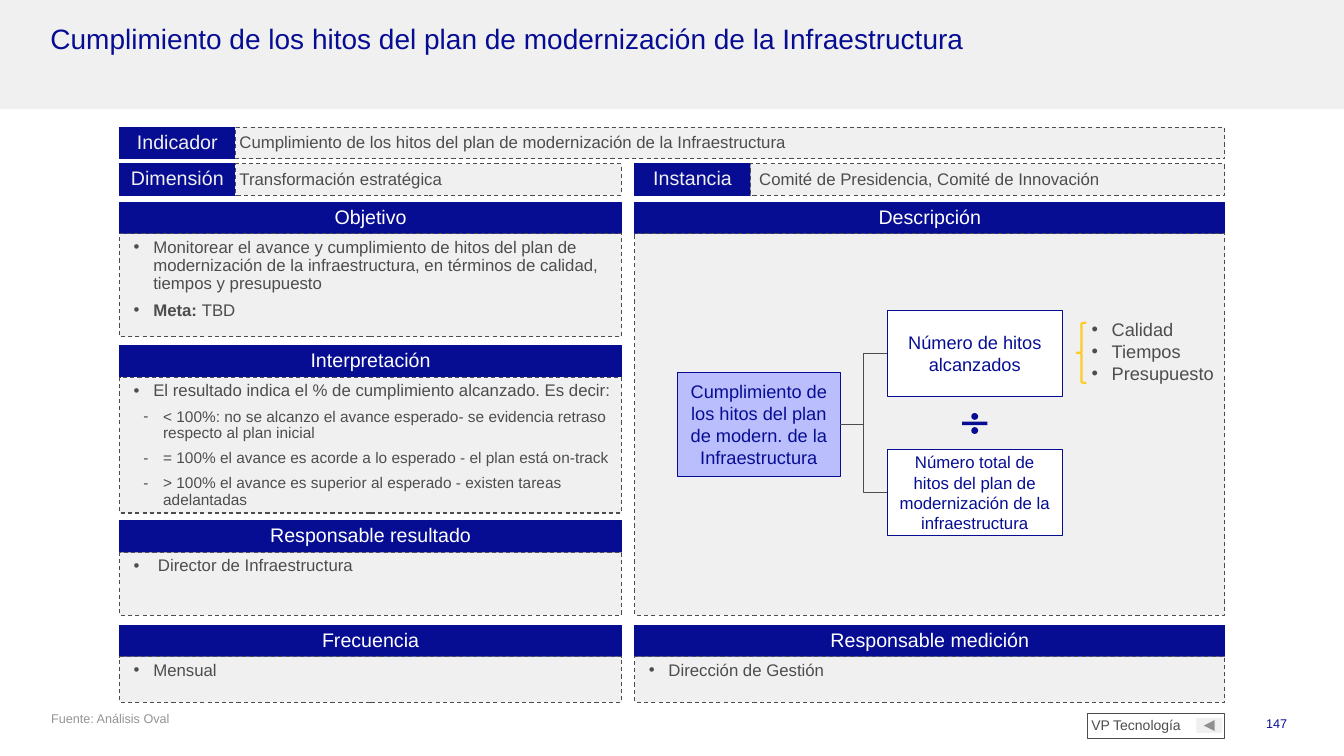
from lxml import etree
from pptx import Presentation
from pptx.dml.color import RGBColor
from pptx.enum.dml import MSO_LINE
from pptx.enum.shapes import MSO_CONNECTOR as Connector, MSO_SHAPE as Shape
from pptx.enum.text import MSO_ANCHOR as Anchor, MSO_AUTO_SIZE as AutoSize, PP_ALIGN as Align
from pptx.oxml.ns import qn
from pptx.util import Pt

NAVY, GREY, PALE, WHITE = "070D93", "4D4D4D", "F0F0F0", "FFFFFF"
LILAC, YELLOW, FOOTER_GREY = "BBBEFC", "FFCB27", "949494"
LEFT, LEFT_WIDTH = 85.5, 358.5
RIGHT, RIGHT_WIDTH = 453.5, 421.5
BAR, LABEL_WIDTH = 22.5, 82.5
INSETS = (3, 3.6, 3, 3.6)
SPACED = {"line_spacing": 0.9, "space_before": Pt(3), "space_after": Pt(3)}
PLAIN = {"line_spacing": 1.0, "space_before": Pt(0), "space_after": Pt(0)}
TITLE = "Cumplimiento de los hitos del plan de modernización de la Infraestructura"


def color(value):
    return RGBColor.from_string(value)


def set_attributes(target, values):
    for name, value in values.items():
        setattr(target, name, value)


def place(shape, box):
    set_attributes(shape, dict(zip(("left", "top", "width", "height"), map(Pt, box))))


def add_bullet(para, char, margin, hang, hue=GREY):
    properties = para._p.get_or_add_pPr()
    properties.set("marL", str(Pt(margin)))
    properties.set("indent", str(-Pt(hang)))
    bullet_color = etree.SubElement(properties, qn("a:buClr"))
    etree.SubElement(bullet_color, qn("a:srgbClr")).set("val", hue)
    etree.SubElement(properties, qn("a:buFont")).set("typeface", "Arial")
    etree.SubElement(properties, qn("a:buChar")).set("char", char)


def write(shape, items, size, hue, align=Align.LEFT, anchor=Anchor.TOP,
          insets=INSETS, spacing=SPACED):
    """Fill a shape with items: a text, or a dict with text, lead (bold), size, bullet."""
    frame = shape.text_frame
    set_attributes(frame, {"word_wrap": True, "auto_size": AutoSize.NONE,
                           "vertical_anchor": anchor})
    sides = ("margin_left", "margin_top", "margin_right", "margin_bottom")
    set_attributes(frame, dict(zip(sides, map(Pt, insets))))
    for index, item in enumerate(items):
        item = {"text": item} if isinstance(item, str) else item
        para = frame.add_paragraph() if index else frame.paragraphs[0]
        if "bullet" in item:
            add_bullet(para, *item["bullet"])
        set_attributes(para, {**spacing, "alignment": align})
        if not index:
            para.space_before = Pt(0)
        for text, bold in ((item.get("lead"), True), (item["text"], False)):
            if text:
                span = para.add_run()
                span.text = text
                set_attributes(span.font, {"name": "Arial", "bold": bold,
                                           "size": Pt(item.get("size", size))})
                span.font.color.rgb = color(hue)


def add_figure(page, kind, box, fill=None, line=None, weight=0.75, dashed=False):
    shape = page.shapes.add_shape(kind, *map(Pt, box))
    shape.shadow.inherit = False
    if fill:
        shape.fill.solid()
        shape.fill.fore_color.rgb = color(fill)
    else:
        shape.fill.background()
    if line:
        shape.line.color.rgb = color(line)
        shape.line.width = Pt(weight)
        if dashed:
            shape.line.dash_style = MSO_LINE.DASH
    else:
        shape.line.fill.background()
    return shape


def add_bar(page, box, text, hue=WHITE):
    bar = add_figure(page, Shape.RECTANGLE, box, NAVY, NAVY)
    write(bar, [text], 14, hue, Align.CENTER, Anchor.MIDDLE)


def add_field(page, box, label, value, value_inset=3):
    """Navy label with a dashed value box to its right."""
    left, top, width, height = box
    add_bar(page, (left, top, LABEL_WIDTH, height), label, PALE)
    value_box = (left + LABEL_WIDTH, top, width - LABEL_WIDTH, height)
    field = add_figure(page, Shape.RECTANGLE, value_box, PALE, GREY, dashed=True)
    write(field, [value], 12, GREY, anchor=Anchor.MIDDLE,
          insets=(value_inset, *INSETS[1:]))


def add_panel(page, box, heading, items=()):
    """Navy heading bar above a dashed box of bulleted items."""
    left, top, width, height = box
    add_bar(page, (left, top, width, BAR), heading)
    body = add_figure(page, Shape.RECTANGLE, (left, top + BAR, width, height - BAR),
                      PALE, GREY, dashed=True)
    write(body, items, 12, GREY)


def bullet(text, lead=None):
    return {"text": text, "lead": lead, "bullet": ("•", 21, 14)}


def dash(text):
    return {"text": text, "size": 11, "bullet": ("-", 28, 14)}


def add_title(page, box):
    left, top, width, height = box
    title = page.shapes.title
    band = add_figure(page, Shape.RECTANGLE, box, PALE)
    title.element.addprevious(band.element)
    place(title, (left + 33, top + 14.5, width - 67, 49.5))
    write(title, [TITLE], 20, NAVY)


def add_node(page, box, text, size, fill=WHITE):
    node = add_figure(page, Shape.RECTANGLE, box, fill, NAVY, 0.5)
    write(node, [text], size, NAVY, Align.CENTER, Anchor.MIDDLE,
          (7.2, 3.6, 7.2, 3.6), PLAIN)
    return node


def add_elbow(page, start, end):
    elbow = page.shapes.add_connector(Connector.ELBOW, 0, 0, 0, 0)
    elbow.begin_connect(start, 3)
    elbow.end_connect(end, 1)
    elbow.line.color.rgb = color(GREY)
    elbow.line.width = Pt(0.5)
    etree.SubElement(elbow.element.spPr, qn("a:effectLst"))


def add_formula(page, box):
    left, top = box[:2]
    result = add_node(page, (left + 30.5, top + 99, 116, 74.5),
                      "Cumplimiento de los hitos del plan de modern. de la Infraestructura",
                      13, LILAC)
    reached = add_node(page, (left + 180, top + 54.5, 125.5, 61.5),
                       "Número de hitos alcanzados", 13)
    total = add_node(page, (left + 180, top + 154, 125.5, 61.5),
                     "Número total de hitos del plan de modernización de la infraestructura", 12)
    for part in (reached, total):
        add_elbow(page, result, part)
    divide = add_figure(page, Shape.MATH_DIVIDE, (left + 230.5, top + 122.5, 24.5, 26), NAVY)
    for index, value in enumerate((0.096, 0.052, 0.094)):
        divide.adjustments[index] = value
    brace = add_figure(page, Shape.LEFT_BRACE, (left + 315.5, top + 63.5, 7, 43),
                       line=YELLOW, weight=1.5)
    criteria = page.placeholders[1]
    brace.element.addnext(criteria.element)
    place(criteria, (left + 319, top + 59, 102.5, 49.5))
    write(criteria, [{"text": text, "bullet": ("•", 14.4, 14.4)}
                     for text in ("Calidad", "Tiempos", "Presupuesto")],
          13, GREY, anchor=Anchor.MIDDLE, insets=(7.2, 3.6, 0, 3.6), spacing=PLAIN)


def add_footer(page, box):
    left, top, width, height = box
    for note_box, text, hue, align in (
            ((left, top, 793, height), "Fuente: Análisis Oval", FOOTER_GREY, Align.LEFT),
            ((left + width - 80, top, 80, height), "147", NAVY, Align.RIGHT)):
        note = page.shapes.add_textbox(*map(Pt, note_box))
        number = align == Align.RIGHT
        write(note, [text], 9, hue, align, insets=(3, 3.6 if number else 0, 7.2 if number else 3, 3),
              spacing=PLAIN)
    add_figure(page, Shape.ACTION_BUTTON_BACK_OR_PREVIOUS,
               (left + 821, top + 5.5, 18.5, 10.5), PALE)
    tag = add_figure(page, Shape.RECTANGLE, (left + 743, top + 2, 98, 18), line=GREY)
    write(tag, ["VP Tecnología"], 10, GREY)


def add_indicator_sheet(page):
    add_title(page, (0, 0, 960, 78))
    add_field(page, (LEFT, 91, RIGHT + RIGHT_WIDTH - LEFT, BAR), "Indicador", TITLE)
    add_field(page, (LEFT, 117, LEFT_WIDTH, BAR), "Dimensión", "Transformación estratégica")
    add_field(page, (RIGHT, 117, RIGHT_WIDTH, BAR), "Instancia",
              "Comité de Presidencia, Comité de Innovación", 6.3)
    add_panel(page, (LEFT, 144.5, LEFT_WIDTH, 96), "Objetivo", [
        bullet("Monitorear el avance y cumplimiento de hitos del plan de modernización "
               "de la infraestructura, en términos de calidad, tiempos y presupuesto"),
        bullet("TBD", lead="Meta: ")])
    add_panel(page, (LEFT, 247, LEFT_WIDTH, 119.5), "Interpretación", [
        bullet("El resultado indica el % de cumplimiento alcanzado. Es decir:"),
        dash("< 100%: no se alcanzo el avance esperado- se evidencia retraso "
             "respecto al plan inicial"),
        dash("= 100% el avance es acorde a lo esperado - el plan está on-track"),
        dash("> 100% el avance es superior al esperado - existen tareas adelantadas")])
    add_panel(page, (LEFT, 372, LEFT_WIDTH, 67.5), "Responsable resultado",
              [bullet(" Director de Infraestructura")])
    add_panel(page, (LEFT, 446.5, LEFT_WIDTH, 55), "Frecuencia", [bullet("Mensual")])
    add_panel(page, (RIGHT, 446.5, RIGHT_WIDTH, 55), "Responsable medición",
              [bullet("Dirección de Gestión")])
    add_panel(page, (RIGHT, 144.5, RIGHT_WIDTH, 295), "Descripción")
    add_formula(page, (RIGHT, 167, RIGHT_WIDTH, 272.5))
    add_footer(page, (33.5, 507.5, 893, 29))


def main():
    deck = Presentation()
    deck.slide_width, deck.slide_height = Pt(960), Pt(540)
    add_indicator_sheet(deck.slides.add_slide(deck.slide_layouts[1]))
    deck.save("out.pptx")


if __name__ == "__main__":
    main()
